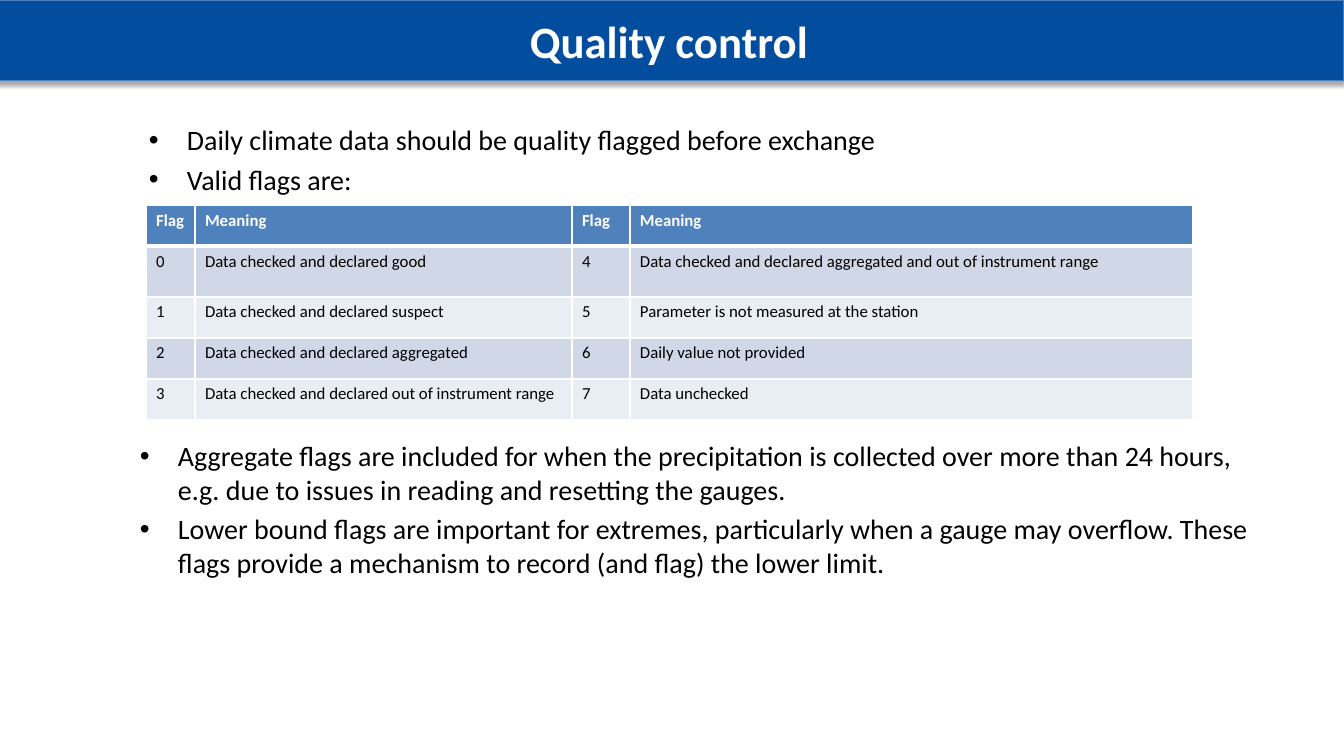
from pptx import Presentation, util as u
from pptx.dml.color import RGBColor
from pptx.enum import shapes, text
from pptx.oxml import parse_xml
from pptx.oxml.ns import nsdecls, qn

EMU_PER_PX = 914400 / 100.8
FONT = "Calibri"
WHITE, BLACK = "FFFFFF", "000000"

INTRO = [
    "Daily climate data should be quality flagged before exchange",
    "Valid flags are:",
]
NOTES = [
    "Aggregate flags are included for when the precipitation is collected over more than 24 hours, "
    "e.g. due to issues in reading and resetting the gauges.",
    "Lower bound flags are important for extremes, particularly when a gauge may overflow. "
    "These flags provide a mechanism to record (and flag) the lower limit.",
]
FLAGS = [
    ("Flag", "Meaning", "Flag", "Meaning"),
    ("0", "Data checked and declared good",
     "4", "Data checked and declared aggregated and out of instrument range"),
    ("1", "Data checked and declared suspect", "5", "Parameter is not measured at the station"),
    ("2", "Data checked and declared aggregated", "6", "Daily value not provided"),
    ("3", "Data checked and declared out of instrument range", "7", "Data unchecked"),
]
COLUMN_WIDTHS = [49, 377, 58, 563]
ROW_HEIGHTS = [41, 51, 41, 41, 41]


def px(length):
    return u.Emu(round(length * EMU_PER_PX))


def color(hex_code):
    return RGBColor.from_string(hex_code)


def format_runs(paragraph, size, hex_code, bold=False):
    for run in paragraph.runs:
        run.font.name = FONT
        run.font.size = u.Pt(size)
        run.font.bold = bold
        run.font.color.rgb = color(hex_code)


def add_bullets(slide, box, lines):
    frame = slide.shapes.add_textbox(*map(px, box)).text_frame
    frame.word_wrap = True
    frame.text = "\n".join(lines)
    for paragraph in frame.paragraphs:
        format_runs(paragraph, 20, BLACK)
        paragraph.space_before = u.Pt(4)
        # Hanging indent and bullet
        properties = paragraph._p.get_or_add_pPr()
        properties.set("marL", str(px(38)))
        properties.set("indent", str(-px(38)))
        properties.append(parse_xml(f'<a:buFont {nsdecls("a")} typeface="Arial"/>'))
        properties.append(parse_xml(f'<a:buChar {nsdecls("a")} char="•"/>'))


def set_borders(cell, top, bottom):
    widths = {"lnL": 1, "lnR": 1, "lnT": top, "lnB": bottom}
    for position, (side, width) in enumerate(widths.items()):
        cell._tc.get_or_add_tcPr().insert(position, parse_xml(
            f'<a:{side} {nsdecls("a")} w="{u.Pt(width)}"><a:solidFill>'
            f'<a:srgbClr val="{WHITE}"/></a:solidFill></a:{side}>'))


def add_flag_table(slide, left, top):
    box = (left, top, sum(COLUMN_WIDTHS), sum(ROW_HEIGHTS))
    table = slide.shapes.add_table(len(FLAGS), len(COLUMN_WIDTHS), *map(px, box)).table
    for column, width in zip(table.columns, COLUMN_WIDTHS):
        column.width = px(width)
    for i, (row, height, values) in enumerate(zip(table.rows, ROW_HEIGHTS, FLAGS)):
        row.height = px(height)
        header = i == 0
        band = "4F81BD" if header else ("E9EDF4", "D0D8E8")[i % 2]
        for cell, value in zip(row.cells, values):
            cell.text = value
            format_runs(cell.text_frame.paragraphs[0], 12, WHITE if header else BLACK, header)
            cell.fill.solid()
            cell.fill.fore_color.rgb = color(band)
            # Thick rule between header and body
            set_borders(cell, 3 if i == 1 else 1, 3 if header else 1)


def add_title_bar(slide, box, title):
    bar = slide.shapes.add_shape(shapes.MSO_SHAPE.RECTANGLE, *map(px, box))
    bar.fill.solid()
    bar.fill.fore_color.rgb = color("034D9E")
    bar.line.color.rgb = color("4B7EBC")
    bar.line.width = u.Pt(0.75)
    # Soft shadow below the bar
    bar.shadow.inherit = False
    bar._element.spPr.find(qn("a:effectLst")).append(parse_xml(
        f'<a:outerShdw {nsdecls("a")} blurRad="{u.Pt(3.1)}" dist="{u.Pt(1.8)}" dir="5400000" '
        f'rotWithShape="0"><a:srgbClr val="{BLACK}"><a:alpha val="35000"/></a:srgbClr></a:outerShdw>'))
    frame = bar.text_frame
    frame.text = title
    frame.vertical_anchor = text.MSO_ANCHOR.MIDDLE
    frame.paragraphs[0].alignment = text.PP_ALIGN.CENTER
    format_runs(frame.paragraphs[0], 32, WHITE, True)


def main():
    deck = Presentation()
    deck.slide_width, deck.slide_height = px(1344), px(756)
    slide = deck.slides.add_slide(deck.slide_layouts[6])
    add_bullets(slide, (139, 118, 1128, 87), INTRO)
    add_flag_table(slide, 146, 205)
    add_bullets(slide, (130, 434, 1137, 150), NOTES)
    add_title_bar(slide, (-6, 0, 1350, 81), "Quality control")
    deck.save("out.pptx")


if __name__ == "__main__":
    main()
